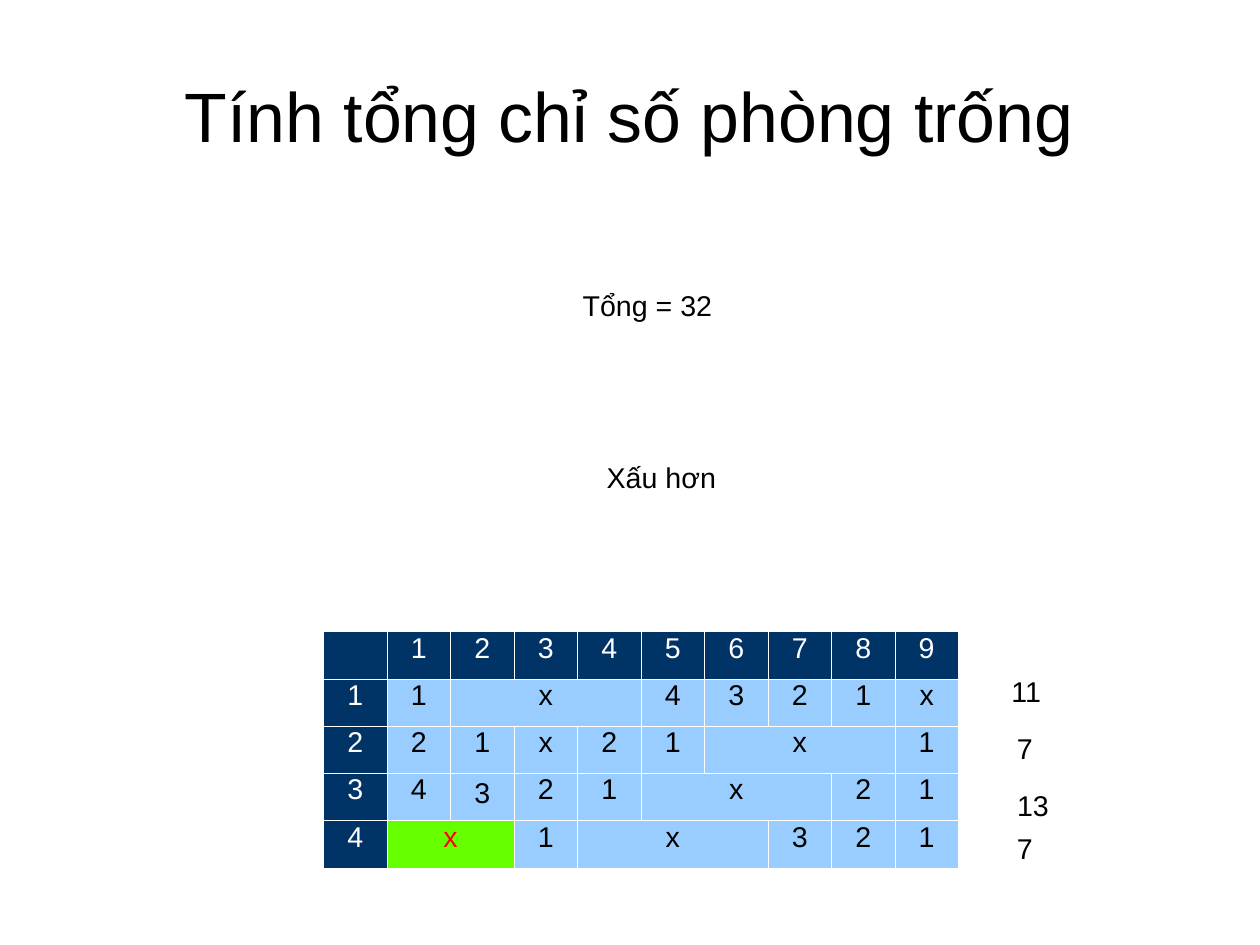
from lxml.etree import SubElement
from pptx import Presentation
from pptx.dml.color import RGBColor
from pptx.enum.text import MSO_ANCHOR as Anchor, MSO_AUTO_SIZE as AutoSize, PP_ALIGN as Align
from pptx.oxml.ns import qn
from pptx.util import Pt

COLORS = {
    "text": "000000", "white": "FFFFFF", "header": "003366",
    "room": "99CCFF", "chosen": "66FF00", "alert": "FF0000",
}
INSETS = {"margin_left": 7.2, "margin_right": 7.2, "margin_top": 3.6, "margin_bottom": 3.6}
TITLE_INSETS = {"margin_left": 0, "margin_right": 0, "margin_top": 2.9, "margin_bottom": 0}
CHOSEN_INSETS = {"margin_left": 2.9, "margin_right": 2.9}

ROOMS = [
    ["", "1", "2", "3", "4", "5", "6", "7", "8", "9"],
    ["1", "1", "x", None, None, "4", "3", "2", "1", "x"],
    ["2", "2", "1", "x", "2", "1", "x", None, None, "1"],
    ["3", "4", "3", "2", "1", "x", None, None, "2", "1"],
    ["4", "x", None, "1", "x", None, None, "3", "2", "1"],
]
CHOSEN = (4, 1)
LOOSE = (3, 2)
LABELS = [
    ("Tổng = 32", (360, 179.6, 96, 27.4)),
    ("Xấu hơn", (375.1, 288, 83.6, 27.4)),
    ("11", (630, 422.6, 34, 27.4)),
    ("7", (633.6, 458.6, 24.5, 27.4)),
    ("13", (633.6, 494.6, 34.5, 27.4)),
    ("7", (633.6, 522, 24.5, 27.4)),
]


def set_insets(target, insets):
    """Set the inner margins of a text frame or a cell."""
    for name, value in insets.items():
        setattr(target, name, Pt(value))


def write(frame, text, size=18, color="text", align=Align.LEFT, spacing=0.93):
    """Write one formatted paragraph into a text frame."""
    paragraph = frame.paragraphs[0]
    paragraph.alignment, paragraph.line_spacing = align, spacing
    paragraph.text = text
    for name, value in {"name": "Arial", "size": Pt(size)}.items():
        setattr(paragraph.font, name, value)
        for run in paragraph.runs:
            setattr(run.font, name, value)
    for run in paragraph.runs:
        run.font.color.rgb = RGBColor.from_string(COLORS[color])


def add_title(slide, box, text):
    """Add the centred slide title."""
    frame = slide.shapes.add_textbox(*map(Pt, box)).text_frame
    frame.word_wrap, frame.vertical_anchor = True, Anchor.MIDDLE
    set_insets(frame, TITLE_INSETS)
    write(frame, text, size=44, align=Align.CENTER)


def add_label(slide, box, text):
    """Add a short unwrapped label that fits its text."""
    frame = slide.shapes.add_textbox(*map(Pt, box)).text_frame
    frame.word_wrap, frame.auto_size = False, AutoSize.SHAPE_TO_FIT_TEXT
    set_insets(frame, INSETS)
    write(frame, text)


def style_cell(cell, fill):
    """Give a cell thin white borders, a fill and its margins."""
    properties = cell._tc.get_or_add_tcPr()
    for side in ("lnL", "lnR", "lnT", "lnB"):
        line = SubElement(properties, qn(f"a:{side}"), w=str(Pt(0.57)))
        solid = SubElement(line, qn("a:solidFill"))
        SubElement(solid, qn("a:srgbClr"), val=COLORS["white"])
    cell.fill.solid()
    cell.fill.fore_color.rgb = RGBColor.from_string(COLORS[fill])
    set_insets(cell, INSETS)


def cell_colors(row, column):
    """Return the fill and text colour names for a grid position."""
    if (row, column) == CHOSEN:
        return "chosen", "alert"
    return ("header", "white") if row == 0 or column == 0 else ("room", "text")


def add_room_table(slide, box, rooms):
    """Add the room grid, merging each cell with the None entries after it."""
    left, top, width, height = box
    row_count, column_count = len(rooms), len(rooms[0])
    table = slide.shapes.add_table(row_count, column_count, *map(Pt, box)).table
    for column in table.columns:
        column.width = Pt(width / column_count)
    for row in table.rows:
        row.height = Pt(height / row_count)
    for r, values in enumerate(rooms):
        start = 0
        for c, value in enumerate(values):
            cell = table.cell(r, c)
            if value is not None:
                start = c
            fill, color = cell_colors(r, start)
            style_cell(cell, fill)
            if value is not None:
                spacing = 0.93 if (r, c) == LOOSE else 0.81
                write(cell.text_frame, value, color=color, align=Align.CENTER, spacing=spacing)
            elif c + 1 == column_count or values[c + 1] is not None:
                table.cell(r, start).merge(cell)
    set_insets(table.cell(*CHOSEN), CHOSEN_INSETS)


def main():
    """Build the slide and save it."""
    presentation = Presentation()
    presentation.slide_width, presentation.slide_height = Pt(793.75), Pt(595.25)
    slide = presentation.slides.add_slide(presentation.slide_layouts[6])
    add_title(slide, (39.6, 23.8, 714.2, 99.4), "Tính tổng chỉ số phòng trống")
    add_room_table(slide, (203.8, 398, 400.2, 148.8), ROOMS)
    for text, box in LABELS:
        add_label(slide, box, text)
    presentation.save("out.pptx")


if __name__ == "__main__":
    main()
